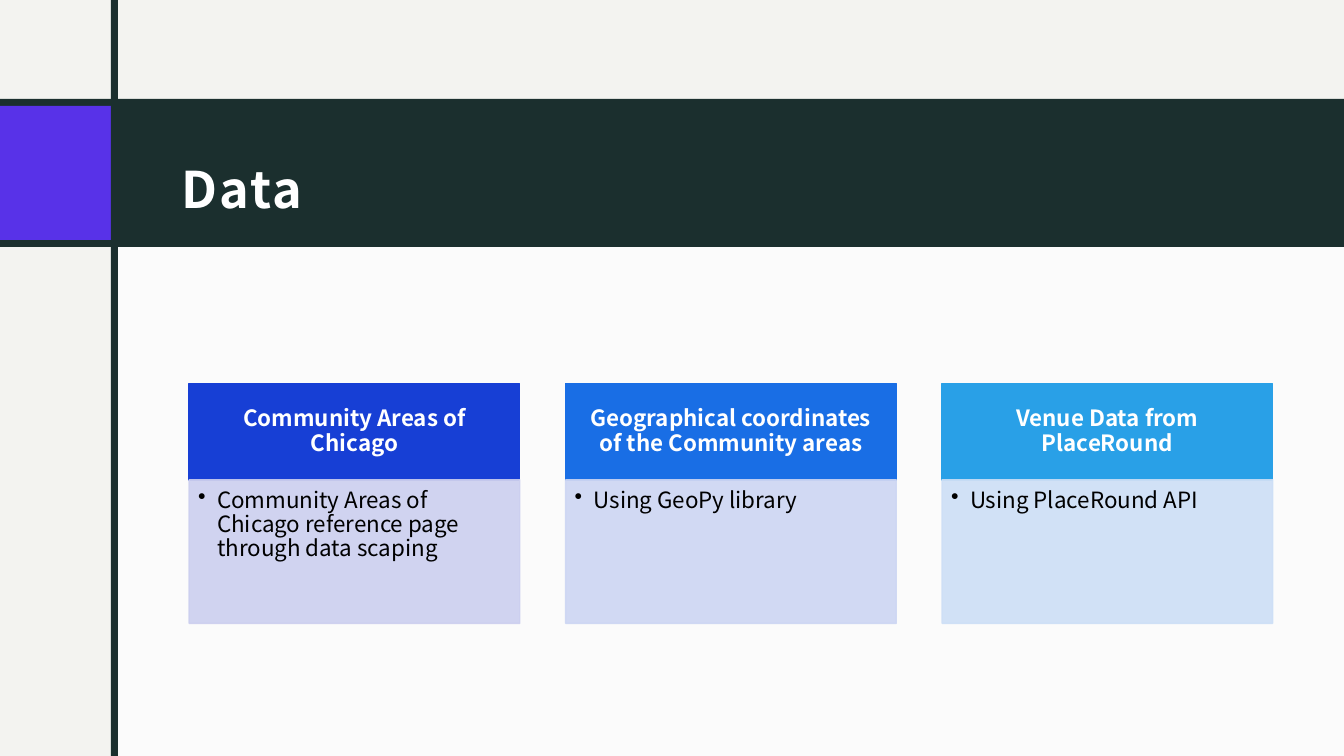
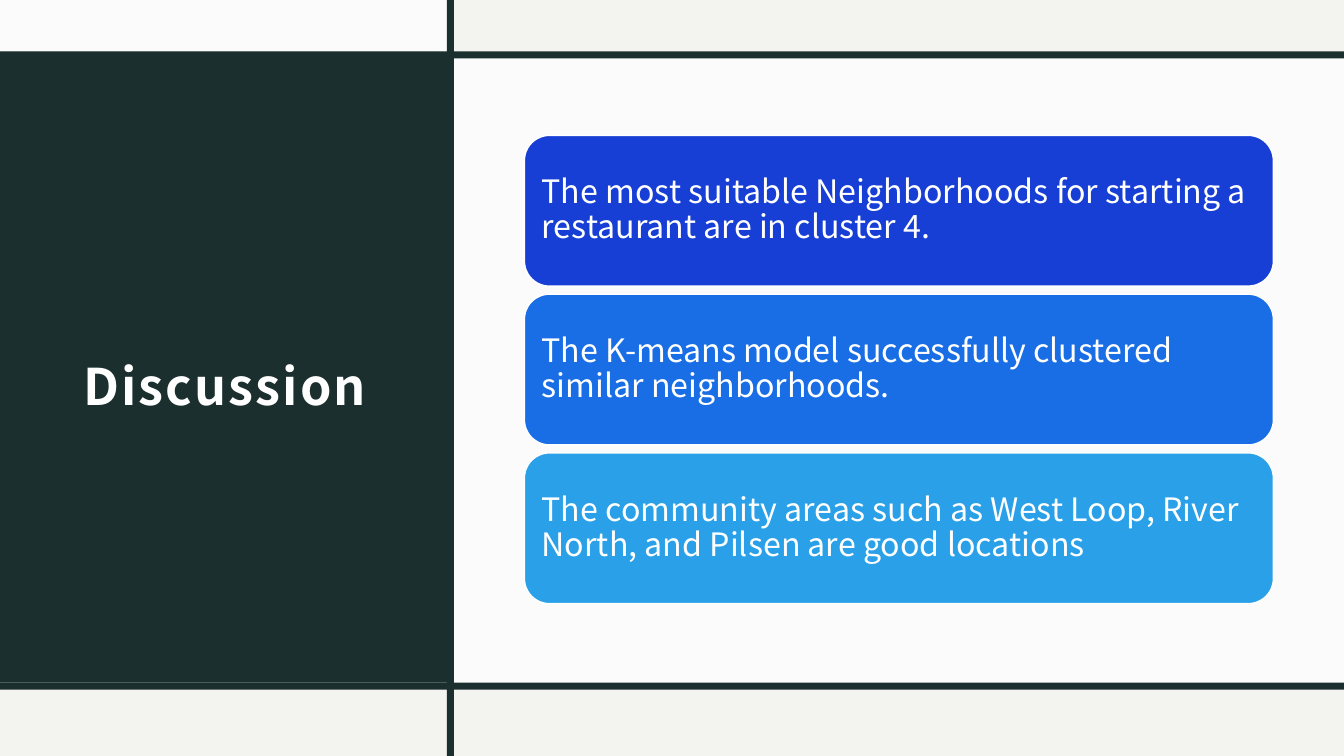
from lxml.etree import SubElement
from pptx import Presentation
from pptx.dml.color import RGBColor
from pptx.enum.shapes import MSO_SHAPE
from pptx.enum.text import MSO_ANCHOR, PP_ALIGN
from pptx.oxml.ns import qn
from pptx.util import Pt

RECT, ROUNDED = MSO_SHAPE.RECTANGLE, MSO_SHAPE.ROUNDED_RECTANGLE
TOP, MIDDLE = MSO_ANCHOR.TOP, MSO_ANCHOR.MIDDLE
LEFT, CENTER = PP_ALIGN.LEFT, PP_ALIGN.CENTER

FONT = "Noto Sans CJK JP"
PAPER, WHITE, BLACK = "F3F3F0", "FFFFFF", "000000"
DARK, PURPLE = "1B2F2E", "5832E8"
ACCENTS = ["173FD5", "196EE5", "29A0E7"]
TINTS = ["CCCFEF", "CDD6F3", "CDDFF6"]
WIDTH, HEIGHT, BAR = 960, 540, 5

DATA_SOURCES = [
    ("Community Areas of Chicago",
     "Community Areas of Chicago reference page through data scaping"),
    ("Geographical coordinates of the Community areas", "Using GeoPy library"),
    ("Venue Data from PlaceRound", "Using PlaceRound API"),
]
FINDINGS = [
    "The most suitable Neighborhoods for starting a restaurant are in cluster 4.",
    "The K-means model successfully clustered similar neighborhoods.",
    "The community areas such as West Loop, River North, and Pilsen are good locations",
]

TITLE = dict(size=36, color=WHITE, bold=True, insets=(8.6, 8.6, 8.6, 7.2),
             anchor=MIDDLE, align=LEFT, spacing=1.5, after=6)
CARD_HEAD = dict(size=16, color=WHITE, bold=True, insets=(8.6, 5, 8.6, 5),
                 anchor=MIDDLE, align=CENTER, spacing=0.9, after=5.6)
CARD_BODY = dict(size=16, color=BLACK, bold=False, insets=(6.5, 6.5, 8.6, 10),
                 anchor=TOP, align=LEFT, spacing=0.9, after=2.4)
FINDING = dict(size=23, color=WHITE, bold=False, insets=(7.2, 7.2, 7.2, 7.2),
               anchor=MIDDLE, align=LEFT, spacing=0.9, after=8)


def rgb(color):
    return RGBColor.from_string(color)


def add_block(slide, box, fill, line=None, opacity=100, kind=RECT):
    block = slide.shapes.add_shape(kind, *map(Pt, box))
    block.shadow.inherit = False
    block.fill.solid()
    block.fill.fore_color.rgb = rgb(fill)
    if line:
        block.line.color.rgb = rgb(line)
        block.line.width = Pt(1)
    else:
        block.line.fill.background()
    if opacity < 100:
        for color in block._element.spPr.xpath(".//a:srgbClr"):
            SubElement(color, qn("a:alpha")).set("val", str(opacity * 1000))
    return block


def write(holder, text, style, bullet=False, tracking=None):
    frame = holder.text_frame
    left, top, right, bottom = map(Pt, style["insets"])
    frame_format = dict(word_wrap=True, vertical_anchor=style["anchor"],
                        margin_left=left, margin_top=top,
                        margin_right=right, margin_bottom=bottom)
    for name, value in frame_format.items():
        setattr(frame, name, value)

    paragraph = frame.paragraphs[0]
    if bullet:
        properties = paragraph._p.get_or_add_pPr()
        properties.set("marL", str(Pt(13.5)))
        properties.set("indent", str(-Pt(13.5)))
        SubElement(properties, qn("a:buChar")).set("char", "•")
    paragraph_format = dict(alignment=style["align"], line_spacing=style["spacing"],
                            space_after=Pt(style["after"]))
    for name, value in paragraph_format.items():
        setattr(paragraph, name, value)

    run = paragraph.add_run()
    run.text = text
    font_format = dict(name=FONT, size=Pt(style["size"]), bold=style["bold"])
    for name, value in font_format.items():
        setattr(run.font, name, value)
    run.font.color.rgb = rgb(style["color"])
    if tracking:
        run._r.get_or_add_rPr().set("spc", str(int(tracking * 100)))


def add_slide(deck):
    slide = deck.slides.add_slide(deck.slide_layouts[6])
    slide.background.fill.solid()
    slide.background.fill.fore_color.rgb = rgb(PAPER)
    return slide


def add_title(slide, text, box):
    write(slide.shapes.add_textbox(*map(Pt, box)), text, TITLE, tracking=1.5)


def add_panel(slide, box):
    add_block(slide, box, WHITE, opacity=75)


def add_vertical_bar(slide, left):
    add_block(slide, (left, 0, BAR, HEIGHT), DARK)


def build_data(deck):
    slide = add_slide(deck)
    add_panel(slide, (82, 167.8, WIDTH - 82, HEIGHT - 167.8))
    add_block(slide, (0, 70.6, WIDTH, 105.8), DARK)
    add_title(slide, "Data", (121, 82, 788.4, 81.4))
    add_block(slide, (0, 75.6, 79.2, 95.8), PURPLE)
    add_vertical_bar(slide, 79.3)

    card_width, pitch, top, head_height, body_height = 236.2, 268.9, 274, 68.8, 102.5
    for index, (heading, detail) in enumerate(DATA_SOURCES):
        left = 135.1 + index * pitch
        accent, tint = ACCENTS[index], TINTS[index]
        head = add_block(slide, (left, top, card_width, head_height), accent, accent)
        write(head, heading, CARD_HEAD)
        body = add_block(slide, (left, top + head_height, card_width, body_height),
                         tint, tint, opacity=90)
        write(body, detail, CARD_BODY, bullet=True)


def build_discussion(deck):
    slide = add_slide(deck)
    upper, lower, divider = 36.8, 487.6, 319.3
    add_block(slide, (0, upper, divider, lower - upper), DARK)
    add_title(slide, "Discussion", (51.1, 94.3, 245.5, 339.1))
    add_panel(slide, (0, 0, divider, 40))
    add_panel(slide, (divider + BAR, upper + BAR, WIDTH - divider - BAR, lower - upper))
    add_vertical_bar(slide, divider)
    for top in (upper, lower):
        add_block(slide, (0, top, WIDTH, BAR), DARK)

    for index, finding in enumerate(FINDINGS):
        box = (374.6, 96.7 + index * 113.4, 535, 107.7)
        write(add_block(slide, box, ACCENTS[index], WHITE, kind=ROUNDED), finding, FINDING)


def main():
    deck = Presentation()
    deck.slide_width, deck.slide_height = Pt(WIDTH), Pt(HEIGHT)
    build_data(deck)
    build_discussion(deck)
    deck.save("out.pptx")


if __name__ == "__main__":
    main()
